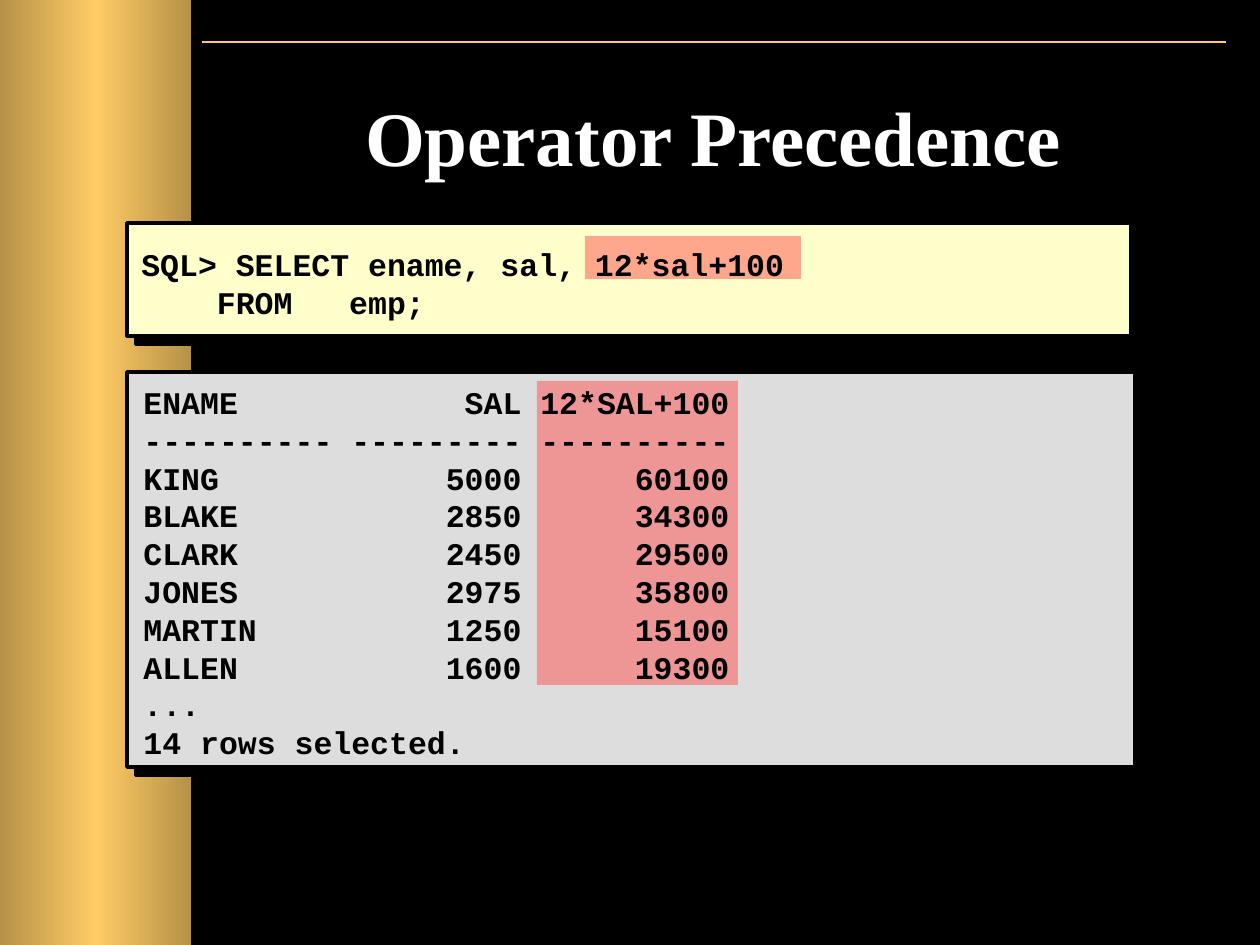
import pptx
import pptx.util
import pptx.oxml
import pptx.dml.color
import pptx.enum.shapes
import pptx.enum.text

NS = 'xmlns:a="http://schemas.openxmlformats.org/drawingml/2006/main"'
SCALE = 914400 / 126
INK = {"back": "000000", "gold": "FFCC66", "code": "FFFFCC", "result": "DDDDDD",
       "mark": "FF5050", "title": "FFFFFF", "text": "000000"}
SQL = ["SQL> SELECT ename, sal, 12*sal+100", "    FROM   emp;"]
ROWS = [("KING", 5000, 60100), ("BLAKE", 2850, 34300), ("CLARK", 2450, 29500),
        ("JONES", 2975, 35800), ("MARTIN", 1250, 15100), ("ALLEN", 1600, 19300)]
HEAD = [("ENAME", "SAL", "12*SAL+100"), ("-" * 10, "-" * 9, "-" * 10)]
RESULT = [f"{name:<10} {sal:>9} {total:>10}" for name, sal, total in HEAD + ROWS]
RESULT += ["...", "14 rows selected."]


def px(*nums):
    return [pptx.util.Emu(round(n * SCALE)) for n in nums]


def rgb(name):
    return pptx.dml.color.RGBColor.from_string(INK[name])


deck = pptx.Presentation()
deck.slide_width, deck.slide_height = px(1260, 945)
slide = deck.slides.add_slide(deck.slide_layouts[5])
slide.background.fill.solid()
slide.background.fill.fore_color.rgb = rgb("back")
shapes = slide.shapes
RECT = pptx.enum.shapes.MSO_SHAPE.RECTANGLE

# Top rule and gold band
rule = shapes.add_connector(pptx.enum.shapes.MSO_CONNECTOR.STRAIGHT, *px(202, 42, 1226, 42))
rule.line.color.rgb = rgb("gold")
rule.line.width = pptx.util.Pt(1)
rule._element.spPr.append(pptx.oxml.parse_xml(f"<a:effectLst {NS}/>"))

band = shapes.add_shape(RECT, *px(0, 0, 191, 945))
band.shadow.inherit = False
band.line.fill.background()
shade = '<a:shade val="46275"/>'
stops = "".join(f'<a:gs pos="{pos}"><a:srgbClr val="{INK["gold"]}">{tone}</a:srgbClr></a:gs>'
                for pos, tone in [(0, shade), (50000, ""), (100000, shade)])
band._element.spPr.find(pptx.oxml.ns.qn("a:prstGeom")).addnext(pptx.oxml.parse_xml(
    f'<a:gradFill {NS} rotWithShape="1"><a:gsLst>{stops}</a:gsLst><a:lin ang="0" scaled="1"/></a:gradFill>'))

# Panels with a hard shadow
for name, area in [("code", (127, 223, 1004, 113)), ("result", (127, 372, 1008, 395))]:
    panel = shapes.add_shape(RECT, *px(*area))
    panel.fill.solid()
    panel.fill.fore_color.rgb = rgb(name)
    panel.line.color.rgb = rgb("back")
    panel.line.width = pptx.util.Pt(2)
    panel._element.spPr.append(pptx.oxml.parse_xml(
        f'<a:effectLst {NS}><a:outerShdw dist="90000" dir="2700000" algn="ctr" rotWithShape="0">'
        f'<a:srgbClr val="{INK["back"]}"/></a:outerShdw></a:effectLst>'))

# Translucent marks behind the computed column
for area in [(585, 236, 216, 43), (537, 381, 201, 304)]:
    mark = shapes.add_shape(RECT, *px(*area))
    mark.shadow.inherit = False
    mark.line.fill.background()
    mark.fill.solid()
    mark.fill.fore_color.rgb = rgb("mark")
    tint = mark._element.spPr.find(".//" + pptx.oxml.ns.qn("a:srgbClr"))
    tint.append(pptx.oxml.parse_xml(f'<a:alpha {NS} val="50000"/>'))

# Title and code text
TOP = pptx.enum.text.MSO_ANCHOR.TOP
MID = pptx.enum.text.MSO_ANCHOR.MIDDLE
LEFT = pptx.enum.text.PP_ALIGN.LEFT
MONO = ("Courier New", 18, "text", LEFT)
title = shapes.title
title.left, title.top, title.width, title.height = px(200, 84, 1027, 158)
query = shapes.add_textbox(*px(129, 221, 1008, 117))
output = shapes.add_textbox(*px(131, 374, 1004, 391))
serif = ("Times New Roman", 44, "title", pptx.enum.text.PP_ALIGN.CENTER)
for box, lines, style, anchor, inset in [
        (title, ["Operator Precedence"], serif, TOP, 6),
        (query, SQL, MONO, MID, 12), (output, RESULT, MONO, TOP, 9)]:
    face, size, ink, align = style
    frame = box.text_frame
    frame.word_wrap = True
    frame.auto_size = pptx.enum.text.MSO_AUTO_SIZE.NONE
    frame.vertical_anchor = anchor
    frame.margin_top, frame.margin_bottom = px(inset, 6)
    for num, line in enumerate(lines):
        para = frame.add_paragraph() if num else frame.paragraphs[0]
        para.alignment = align
        if style is MONO:
            para.line_spacing = pptx.util.Pt(21.6)
        run = para.add_run()
        run.text = line
        run.font.name = face
        run.font.size = pptx.util.Pt(size)
        run.font.bold = True
        run.font.color.rgb = rgb(ink)

deck.save("out.pptx")
